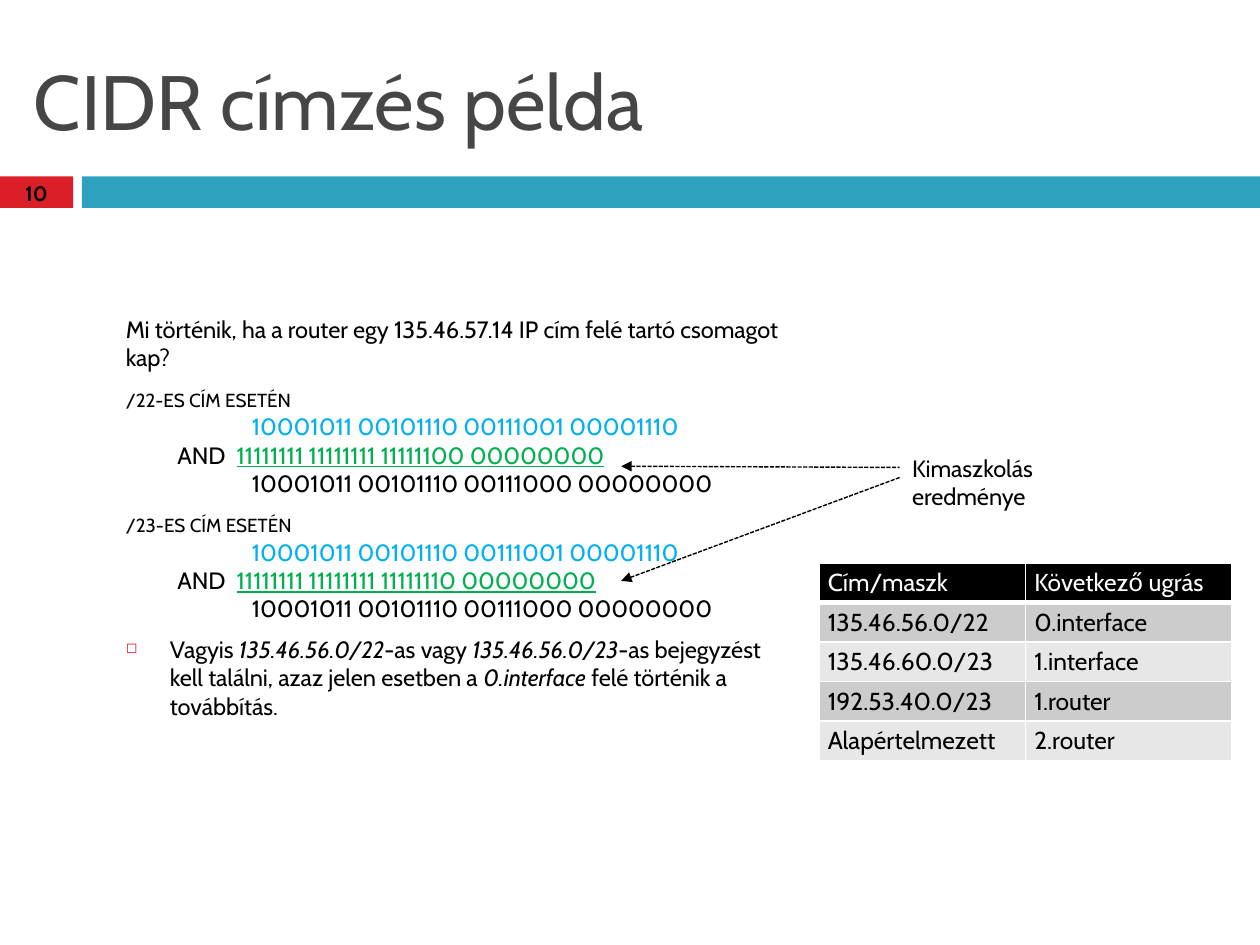
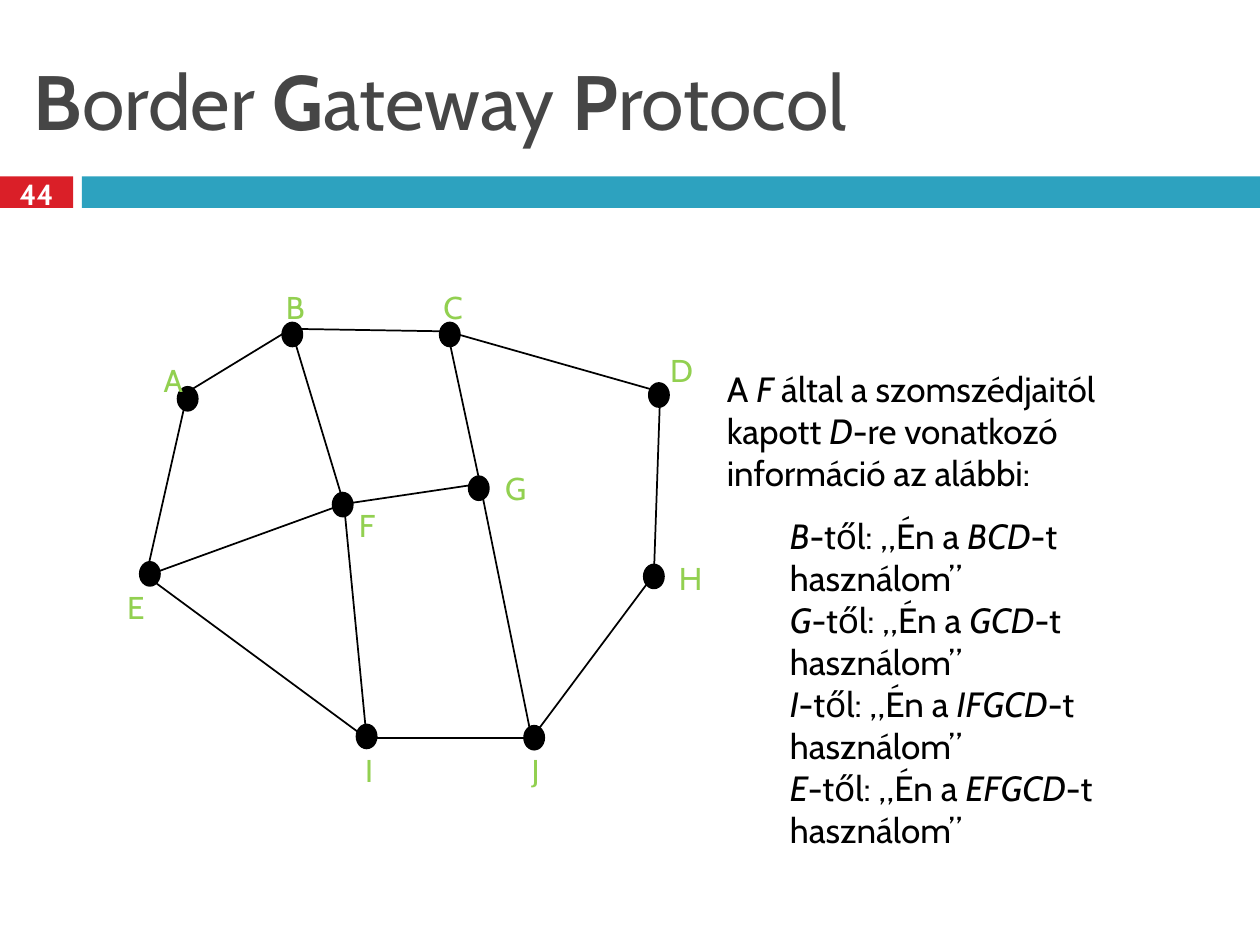
import pptx
import pptx.util
import pptx.dml.color
import pptx.enum.dml
import pptx.enum.shapes
import pptx.enum.text
import pptx.oxml.ns
from lxml import etree

Inches = pptx.util.Inches
Pt = pptx.util.Pt
RGBColor = pptx.dml.color.RGBColor
Shape = pptx.enum.shapes.MSO_SHAPE
Align = pptx.enum.text.PP_ALIGN
Anchor = pptx.enum.text.MSO_ANCHOR
qn = pptx.oxml.ns.qn

FONT = "Cabin"
BLACK = RGBColor(0x00, 0x00, 0x00)
WHITE = RGBColor(0xFF, 0xFF, 0xFF)
RED = RGBColor(0xDA, 0x1F, 0x28)
TEAL = RGBColor(0x2D, 0xA2, 0xBF)
TITLE_GREY = RGBColor(0x46, 0x46, 0x46)
ADDRESS_BLUE = RGBColor(0x00, 0xB0, 0xF0)
MASK_GREEN = RGBColor(0x00, 0xB0, 0x50)
NODE_GREEN = RGBColor(0x92, 0xD0, 0x50)
ROW_DARK = RGBColor(0xCC, 0xCC, 0xCC)
ROW_LIGHT = RGBColor(0xE7, 0xE7, 0xE7)

# Routing table of the CIDR slide
ROUTES = [
    ("Cím/maszk", "Következő ugrás"),
    ("135.46.56.0/22", "0.interface"),
    ("135.46.60.0/23", "1.interface"),
    ("192.53.40.0/23", "1.router"),
    ("Alapértelmezett", "2.router"),
]

# Network graph: joint of the lines, top left of the dot, top left of the label
NODES = {
    "A": ((1.49, 3.11), (1.41, 3.07), (1.2, 2.82)),
    "B": ((2.31, 2.61), (2.24, 2.56), (2.17, 2.24)),
    "C": ((3.55, 2.63), (3.49, 2.56), (3.42, 2.24)),
    "D": ((5.24, 3.11), (5.15, 3.04), (5.22, 2.74)),
    "E": ((1.16, 4.57), (1.11, 4.46), (0.91, 4.62)),
    "F": ((2.73, 4.0), (2.64, 3.91), (2.75, 3.97)),
    "G": ((3.81, 3.84), (3.72, 3.78), (3.91, 3.67)),
    "H": ((5.19, 4.56), (5.11, 4.48), (5.29, 4.39)),
    "I": ((2.91, 5.86), (2.83, 5.75), (2.8, 5.91)),
    "J": ((4.22, 5.86), (4.16, 5.76), (4.12, 5.91)),
}
EDGES = "AE EI IJ EF AB BF FI BC FG CG GJ CD DH JH".split()


def sub(parent, tag, **attributes):
    return etree.SubElement(parent, qn(tag), attributes)


def add_run(p, text, size, color=BLACK, small_caps=False, **fmt):
    r = p.add_run()
    r.text = text
    r.font.color.rgb = color
    for name, value in {"name": FONT, "size": Pt(size), **fmt}.items():
        setattr(r.font, name, value)
    if small_caps:
        r.font._element.set("cap", "small")


def add_marked(p, text, size, emphasis="italic", **fmt):
    """Add runs; the parts between asterisks are emphasised."""
    for i, part in enumerate(text.split("*")):
        if part:
            add_run(p, part, size, **{**fmt, emphasis: i % 2 == 1})


def add_paragraph(tf, before=0, left=0, indent=0, **fmt):
    p = tf.paragraphs[0]
    if p.runs:
        p = tf.add_paragraph()
    for name, value in {"space_before": Pt(before), **fmt}.items():
        setattr(p, name, value)
    pPr = p._p.get_or_add_pPr()
    pPr.set("marL", str(Inches(left)))
    pPr.set("indent", str(Inches(indent)))
    return p


def add_bullet(p, char):
    pPr = p._p.get_or_add_pPr()
    sub(sub(pPr, "a:buClr"), "a:srgbClr", val=str(RED))
    sub(pPr, "a:buSzPct", val="60000")
    sub(pPr, "a:buChar", char=char)


def add_box(s, left, top, width, height, **fmt):
    box = s.shapes.add_textbox(*map(Inches, (left, top, width, height)))
    for name, value in {"word_wrap": True, **fmt}.items():
        setattr(box.text_frame, name, value)
    return box.text_frame


def add_filled(s, kind, left, top, width, height, color):
    sp = s.shapes.add_shape(kind, *map(Inches, (left, top, width, height)))
    sp.shadow.inherit = False
    sp.fill.solid()
    sp.fill.fore_color.rgb = color
    return sp


def add_line(s, start, end, width=1.0, arrow=False):
    line = s.shapes.add_connector(
        pptx.enum.shapes.MSO_CONNECTOR.STRAIGHT, *map(Inches, (*start, *end)))
    line.line.color.rgb = BLACK
    line.line.width = Pt(width)
    if arrow:
        line.line.dash_style = pptx.enum.dml.MSO_LINE.SQUARE_DOT
        sub(line.line._get_or_add_ln(), "a:headEnd", type="triangle")
    sub(line._element.spPr, "a:effectLst")


def add_base_slide(prs, title, number, size, color):
    """Blank slide with the two bands, the title and the page number."""
    s = prs.slides.add_slide(prs.slide_layouts[6])
    for left, width, band in ((0, 0.58, RED), (0.65, 9.35, TEAL)):
        add_filled(s, Shape.RECTANGLE, left, 1.4, width, 0.25, band).line.fill.background()
    tf = add_box(s, 0.17, 0.25, 9.67, 1.08, vertical_anchor=Anchor.MIDDLE)
    add_marked(add_paragraph(tf), title, 44, "bold", color=TITLE_GREY)
    tf = add_box(s, 0, 1.37, 0.58, 0.33, vertical_anchor=Anchor.MIDDLE,
                 margin_left=Inches(0.07), margin_right=Inches(0.07))
    add_run(add_paragraph(tf, alignment=Align.CENTER), number, size, color, bold=True)
    return s


def add_masking(tf, heading, address, mask, result):
    """Address AND mask = result, under a small-caps heading."""
    add_run(add_paragraph(tf, 7), heading, 13.5, small_caps=True)
    add_run(add_paragraph(tf, left=1), address, 13.5, ADDRESS_BLUE)
    p = add_paragraph(tf, left=0.88, indent=-0.47)
    add_run(p, "AND\t", 13.5)
    add_run(p, mask, 13.5, MASK_GREEN, underline=True)
    add_run(add_paragraph(tf, left=1), result, 13.5)


def set_borders(cell, bottom):
    tcPr = cell._tc.get_or_add_tcPr()
    for i, (side, width) in enumerate((("L", 1), ("R", 1), ("T", 1), ("B", bottom))):
        ln = etree.Element(qn(f"a:ln{side}"), w=str(Pt(width)))
        sub(sub(ln, "a:solidFill"), "a:srgbClr", val=str(WHITE))
        tcPr.insert(i, ln)


def add_routes(s, left, top, width, height):
    frame = s.shapes.add_table(len(ROUTES), 2, *map(Inches, (left, top, width, height)))
    margins = {"margin_left": 0.07, "margin_right": 0.07,
               "margin_top": 0.04, "margin_bottom": 0.04}
    for i, row in enumerate(ROUTES):
        fill = BLACK if i == 0 else ROW_DARK if i % 2 else ROW_LIGHT
        for j, text in enumerate(row):
            cell = frame.table.cell(i, j)
            for name, value in margins.items():
                setattr(cell, name, Inches(value))
            cell.fill.solid()
            cell.fill.fore_color.rgb = fill
            set_borders(cell, 1 if i else 3)
            add_run(cell.text_frame.paragraphs[0], text, 14, BLACK if i else WHITE)


def build_cidr(prs):
    s = add_base_slide(prs, "CIDR címzés példa", "10", 12, BLACK)

    # Worked example
    tf = add_box(s, 0.9, 2.45, 5.5, 3.7)
    add_run(add_paragraph(tf, 7), "Mi történik, ha a router egy 135.46.57.14 IP cím "
            "felé tartó csomagot kap?", 13.5)
    address = "10001011 00101110 00111001 00001110"
    result = "10001011 00101110 00111000 00000000"
    for prefix, third in (("/22", "11111100"), ("/23", "11111110")):
        add_masking(tf, f"{prefix}-es cím esetén", address,
                    f"11111111 11111111 {third} 00000000", result)
    p = add_paragraph(tf, 7, left=0.35, indent=-0.35)
    add_bullet(p, "◻")
    add_marked(p, "Vagyis *135.46.56.0/22*-as vagy *135.46.56.0/23*-as bejegyzést kell "
               "találni, azaz jelen esetben a *0.interface* felé történik a továbbítás.", 13.5)

    add_routes(s, 6.5, 4.47, 3.28, 1.55)

    # Callout to the masked results
    add_line(s, (4.93, 3.7), (7.14, 3.71), 0.79, arrow=True)
    add_line(s, (4.93, 4.61), (7.14, 3.79), 0.79, arrow=True)
    tf = add_box(s, 7.14, 3.55, 2.01, 0.33)
    add_run(add_paragraph(tf), "Kimaszkolás eredménye", 13.5)


def build_bgp(prs):
    s = add_base_slide(prs, "*B*order *G*ateway *P*rotocol", "44", 16.6, WHITE)

    # Network graph
    for start, end in EDGES:
        add_line(s, NODES[start][0], NODES[end][0])
    for name, (_, dot, label) in NODES.items():
        sp = add_filled(s, Shape.OVAL, *dot, 0.16, 0.19, BLACK)
        sp.line.color.rgb = BLACK
        sp.line.width = Pt(1)
        tf = add_box(s, *label, 0.35, 0.4)
        add_run(add_paragraph(tf), name, 18, NODE_GREEN)

    # Routes that F hears from its neighbours
    tf = add_box(s, 5.67, 2.87, 3.8, 4.64)
    add_marked(add_paragraph(tf), "A *F* által a szomszédjaitól kapott *D*-re "
               "vonatkozó információ az alábbi:", 20)
    for i, route in enumerate(("BCD", "GCD", "IFGCD", "EFGCD")):
        p = add_paragraph(tf, 0 if i else 12, left=0.5, level=1)
        add_marked(p, f"*{route[0]}*-től: „Én a *{route}*-t használom”", 20)


def main():
    prs = pptx.Presentation()
    prs.slide_width, prs.slide_height = Inches(10), Inches(7.5)
    build_cidr(prs)
    build_bgp(prs)
    prs.save("out.pptx")


if __name__ == "__main__":
    main()
